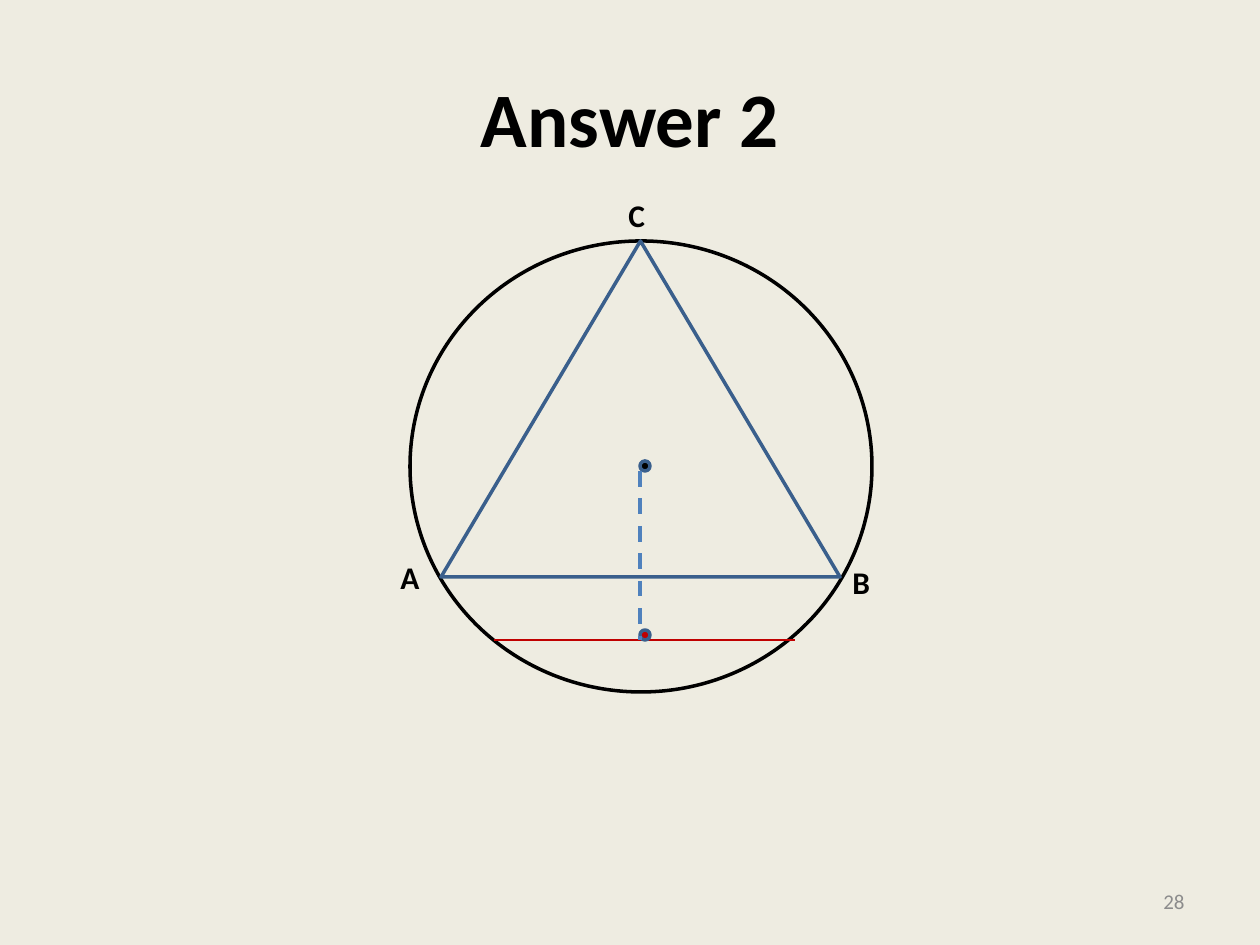
from lxml import etree
from pptx import Presentation
from pptx.dml.color import RGBColor
from pptx.enum.dml import MSO_LINE
from pptx.enum.shapes import MSO_CONNECTOR, MSO_SHAPE
from pptx.enum.text import MSO_ANCHOR, MSO_AUTO_SIZE, PP_ALIGN
from pptx.oxml.ns import qn
from pptx.util import Emu, Pt

OVAL, TRIANGLE = MSO_SHAPE.OVAL, MSO_SHAPE.ISOSCELES_TRIANGLE
STRAIGHT, DASH = MSO_CONNECTOR.STRAIGHT, MSO_LINE.DASH
LEFT, CENTER, RIGHT = PP_ALIGN.LEFT, PP_ALIGN.CENTER, PP_ALIGN.RIGHT
TOP, MIDDLE = MSO_ANCHOR.TOP, MSO_ANCHOR.MIDDLE
FIT_TEXT = MSO_AUTO_SIZE.SHAPE_TO_FIT_TEXT

EMU_PER_PIXEL = 914400 / 126
BLACK, NAVY, BLUE, RED = "000000", "3A5F8C", "4F81BD", "C00000"
GREY, CREAM = "8C8C8C", "EEECE1"


def px(*lengths):
    return [Emu(round(n * EMU_PER_PIXEL)) for n in lengths]


def color(value):
    return RGBColor.from_string(value)


def add_text(slide, box, text, size, ink=BLACK, bold=False, align=LEFT,
             anchor=TOP, wrap=True):
    field = slide.shapes.add_textbox(*px(*box))
    frame = field.text_frame
    frame.word_wrap = wrap
    frame.vertical_anchor = anchor
    if not wrap:
        frame.auto_size = FIT_TEXT
    paragraph = frame.paragraphs[0]
    paragraph.text = text
    paragraph.alignment = align
    font = paragraph.font
    font.name, font.size, font.bold = "Calibri", Pt(size), bold
    font.color.rgb = color(ink)


def add_outline(slide, kind, box, ink, fill=None):
    outline = slide.shapes.add_shape(kind, *px(*box))
    outline.shadow.inherit = False
    outline.line.color.rgb = color(ink)
    outline.line.width = Pt(2)
    if fill:
        outline.fill.solid()
        outline.fill.fore_color.rgb = color(fill)
    else:
        outline.fill.background()


def add_segment(slide, start, end, ink, width, dash=None):
    segment = slide.shapes.add_connector(STRAIGHT, *px(*start, *end))
    segment.line.color.rgb = color(ink)
    segment.line.width = Pt(width)
    if dash:
        segment.line.dash_style = dash
    etree.SubElement(segment._element.spPr, qn("a:effectLst"))


def draw_heading(slide, box):
    add_text(slide, box, "Answer 2", 44, bold=True, align=CENTER, anchor=MIDDLE)


def draw_page_number(slide, box):
    add_text(slide, box, "28", 12, GREY, align=RIGHT, anchor=MIDDLE)


def draw_circle_figure(slide, box):
    left, top, width, height = box
    dot = 10
    axis = left + width // 2 - 1
    chord_y = top + 399
    center_y = top + height // 2 - dot // 2

    # Circle with the inscribed triangle
    add_outline(slide, OVAL, box, BLACK)
    add_outline(slide, TRIANGLE, (left + 31, top, 399, 336), NAVY)

    # Centre, chord and its midpoint
    add_outline(slide, OVAL, (axis, center_y, dot, dot), NAVY, BLACK)
    add_segment(slide, (left + 84, chord_y), (left + 385, chord_y), RED, 1.5)
    add_outline(slide, OVAL, (axis, chord_y - dot, dot, dot), NAVY, RED)

    # Distance from the centre to the chord
    add_segment(slide, (axis, center_y + dot), (axis, chord_y), BLUE, 2.25, DASH)

    # Vertex labels
    for vertex, x, y in (("A", -22, 311), ("B", 430, 316), ("C", 206, -51)):
        add_text(slide, (left + x, top + y, 43, 50), vertex, 18, bold=True,
                 wrap=False)


prs = Presentation()
prs.slide_width, prs.slide_height = px(1260, 945)
slide = prs.slides.add_slide(prs.slide_layouts[6])
slide.background.fill.solid()
slide.background.fill.fore_color.rgb = color(CREAM)

draw_heading(slide, (63, 38, 1134, 158))
draw_circle_figure(slide, (410, 241, 462, 451))
draw_page_number(slide, (903, 876, 294, 50))

prs.save("out.pptx")
